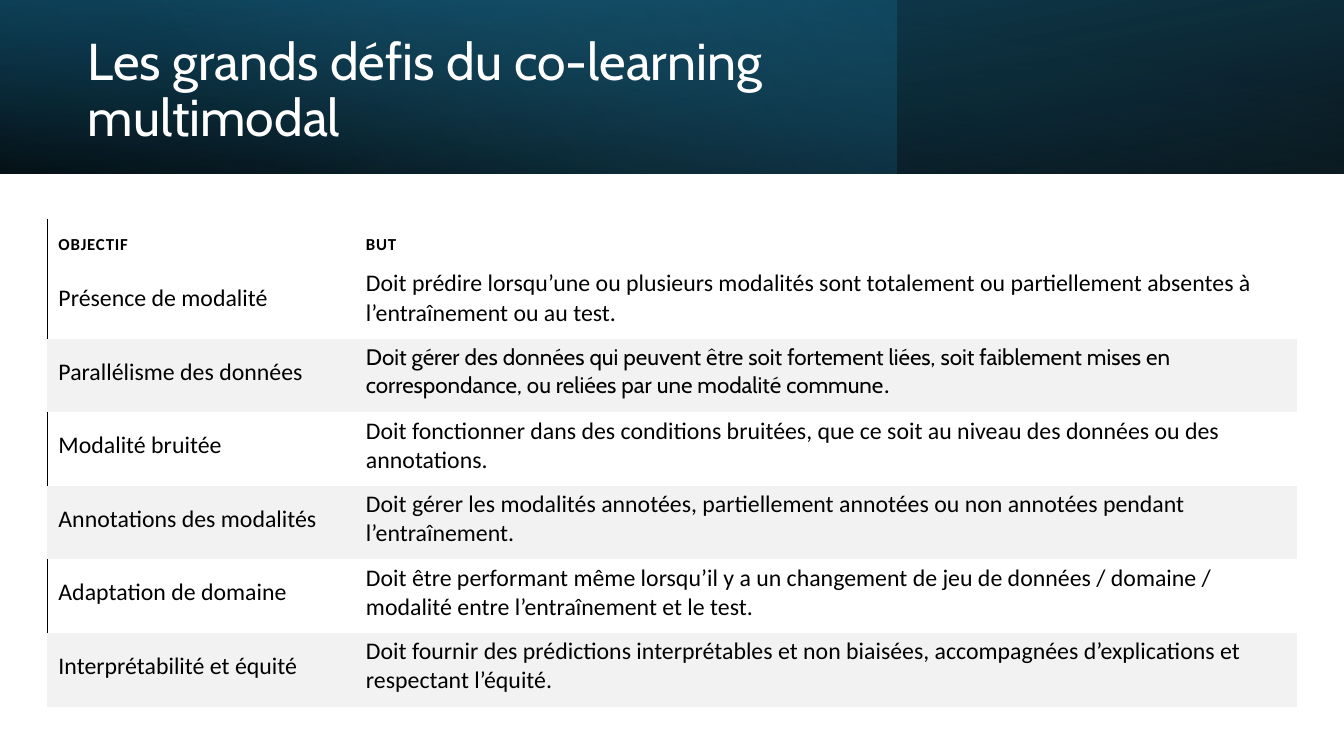
from dataclasses import dataclass

from lxml.etree import SubElement as Sub
from pptx import Presentation
from pptx.dml.color import RGBColor as Rgb
from pptx.enum.shapes import MSO_SHAPE as Shape
from pptx.enum.text import MSO_ANCHOR as Anchor, MSO_AUTO_SIZE as Fit, PP_ALIGN as Align
from pptx.oxml.ns import qn
from pptx.util import Pt

PX = 9144


@dataclass(frozen=True)
class Theme:
    """Colours, fonts and type sizes of the slide."""
    black: str = "000000"
    white: str = "FFFFFF"
    grey: str = "F2F2F2"
    navy: str = "104862"
    teal: str = "156082"
    sky: str = "46B1E1"
    sans: str = "Calibri"
    round: str = "Cabin"
    title: int = 37
    head: int = 12
    text: int = 17
    small: int = 16


T = Theme()
HEAD = dict(name=T.sans, size=Pt(T.head), bold=True)
TEXT = dict(name=T.sans, size=Pt(T.text), bold=False)
CABIN = dict(name=T.round, size=Pt(T.small), bold=False)
PLAIN = "{2D5ABB26-0587-4C30-8999-92F81FD0307C}"

ROWS = [
    ("Présence de modalité",
     [("Doit prédire lorsqu’une ou plusieurs modalités sont totalement ou "
       "partiellement absentes à l’entraînement ou au test.", TEXT)]),
    ("Parallélisme des données",
     [("Doit gérer des données qui peuvent être soit fortement liées, soit faiblement "
       "mises en correspondance, ou reliées par une modalité commune", CABIN),
      (".", TEXT)]),
    ("Modalité bruitée",
     [("Doit fonctionner dans des conditions bruitées, que ce soit au niveau des "
       "données ou des annotations.", TEXT)]),
    ("Annotations des modalités",
     [("Doit gérer les modalités annotées, partiellement annotées ou non annotées "
       "pendant l’entraînement.", TEXT)]),
    ("Adaptation de domaine",
     [("Doit être performant même lorsqu’il y a un changement de jeu de données / "
       "domaine / modalité entre l’entraînement et le test.", TEXT)]),
    ("Interprétabilité et équité",
     [("Doit fournir des prédictions interprétables et non biaisées, accompagnées "
       "d’explications et respectant l’équité.", TEXT)]),
]


def apply(item, form):
    """Set each attribute of item named in form."""
    for key, value in form.items():
        setattr(item, key, value)


def scale(*box):
    """Turn px lengths into EMU."""
    return [n * PX for n in box]


def tint(parent, color, alpha=100):
    """Add a colour with its opacity in percent."""
    node = Sub(parent, qn("a:srgbClr"), val=color)
    Sub(node, qn("a:alpha"), val=str(alpha * 1000))


def write(para, runs, color):
    """Add styled runs to a paragraph."""
    for text, form in runs:
        run = para.add_run()
        run.text = text
        apply(run.font, form)
        run.font.color.rgb = Rgb.from_string(color)


def band(slide, box, stops, angle, turn=0, flip=False):
    """Draw a rectangle with a see-through gradient."""
    shape = slide.shapes.add_shape(Shape.RECTANGLE, *scale(*box))
    shape.shadow.inherit = False
    shape.line.fill.background()
    shape.rotation = turn
    props = shape.element.spPr
    if flip:
        props.get_or_add_xfrm().set("flipH", "1")
    grad = props.makeelement(qn("a:gradFill"), {"rotWithShape": "1"})
    group = Sub(grad, qn("a:gsLst"))
    for place, color, alpha in stops:
        tint(Sub(group, qn("a:gs"), pos=str(place * 1000)), color, alpha)
    Sub(grad, qn("a:lin"), ang=str(angle * 60000), scaled="0")
    props.insert(2, grad)


def banner(slide, box):
    """Place the shaded banner and its title."""
    left, top, width, height = box
    band(slide, box, [(0, T.black, 96), (100, T.navy, 100)], 100, 180, True)
    band(slide, (left, top, width * 2 // 3 + 1, height),
         [(0, T.teal, 41), (74, T.sky, 0)], 140)
    band(slide, box, [(0, T.black, 63), (78, T.teal, 15)], 260, flip=True)
    title = slide.shapes.title
    place = scale(left + 77, top + 27, 772, 127)
    apply(title, dict(zip(("left", "top", "width", "height"), place)))
    apply(title.text_frame, dict(word_wrap=True, auto_size=Fit.NONE,
                                 vertical_anchor=Anchor.MIDDLE))
    para = title.text_frame.paragraphs[0]
    apply(para, dict(alignment=Align.LEFT, line_spacing=0.9, space_after=Pt(6)))
    write(para, [("Les grands défis du co-learning multimodal",
                  dict(name=T.round, size=Pt(T.title)))], T.white)
    slide.shapes._spTree.append(title.element)


def edge(cell):
    """Draw a thin black line on the left of a cell."""
    props = cell._tc.get_or_add_tcPr()
    line = props.makeelement(qn("a:lnL"), {"w": str(Pt(1))})
    tint(Sub(line, qn("a:solidFill")), T.black)
    props.insert(0, line)


def goals(slide, box):
    """Place the table of goals, shaded every second row."""
    data = [([("OBJECTIF", HEAD)], [("BUT", HEAD)])]
    data += [([(name, TEXT)], runs) for name, runs in ROWS]
    frame = slide.shapes.add_table(len(data), 2, *scale(*box))
    table = frame.table
    apply(table, dict(first_row=False, horz_banding=False))
    table._tbl.tblPr.find(qn("a:tableStyleId")).text = PLAIN
    first, head = 305, 46
    for col, width in zip(table.columns, scale(first, box[2] - first)):
        col.width = width
    for r, pair in enumerate(data):
        table.rows[r].height = PX * (73 if r else head)
        shaded = r and r % 2 == 0
        for c, runs in enumerate(pair):
            cell = table.cell(r, c)
            sides = scale(11, 3 if r else 10, 3, 10)
            apply(cell, dict(zip(("margin_left", "margin_top", "margin_right",
                                  "margin_bottom"), sides)))
            cell.vertical_anchor = Anchor.MIDDLE if r else Anchor.BOTTOM
            if shaded:
                cell.fill.solid()
                cell.fill.fore_color.rgb = Rgb.from_string(T.grey)
            else:
                cell.fill.background()
                if c == 0:
                    edge(cell)
            para = cell.text_frame.paragraphs[0]
            write(para, runs, T.black)
            if r == 0:
                para.runs[0].font._element.set("spc", "60")


def main():
    """Build and save the slide."""
    deck = Presentation()
    deck.slide_width, deck.slide_height = scale(1333, 750)
    slide = deck.slides.add_slide(deck.slide_layouts[5])
    banner(slide, (0, 0, 1333, 172))
    goals(slide, (47, 217, 1239, 483))
    deck.save("out.pptx")


if __name__ == "__main__":
    main()
